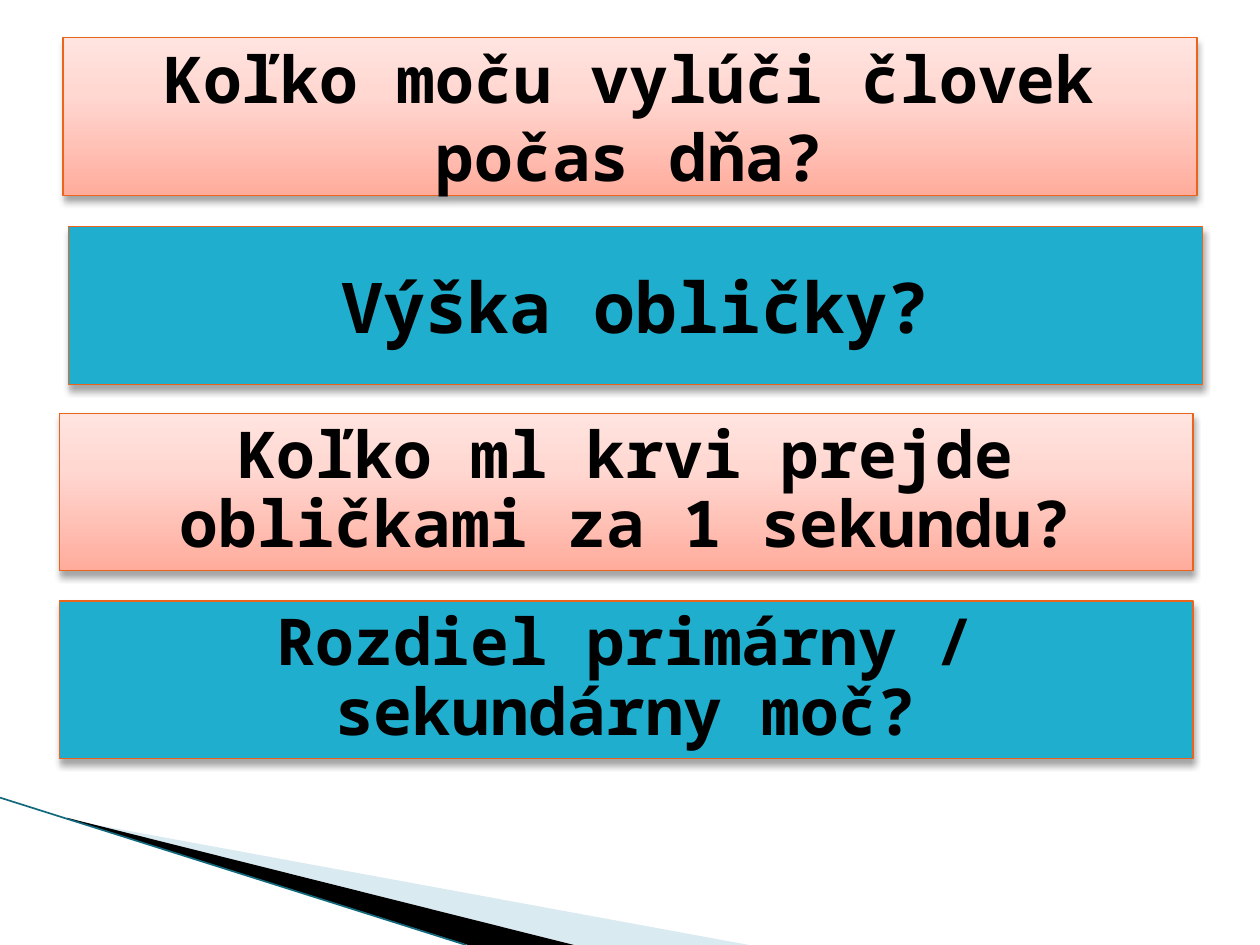
import pptx
import pptx.util
import pptx.dml.color
import pptx.enum.shapes
import pptx.enum.text
import pptx.oxml
import pptx.oxml.ns
import lxml.etree

Pt = pptx.util.Pt
qn = pptx.oxml.ns.qn

HUES = {
    "text": "000000", "edge": "EB641B", "blue": "1FAECD",
    "pale": "D9EAF1", "dark": "000000", "line": "12687C",
}
BLUSH = [(0, "FFAC9C"), (65, "FFD8D2"), (100, "FFE4DF")]
WIDE, HIGH = 648, 90
FONT = "Noto Sans Mono"

CARDS = [
    ("Koľko moču vylúči človek počas dňa?", 36, 21.6, 36.9, 1, False),
    ("Výška obličky?", 39.24, 129.6, 40, 1, True),
    ("Koľko ml krvi prejde obličkami za 1 sekundu?", 33.84, 236.16, 36.9, 0.9, False),
    ("Rozdiel primárny / sekundárny moč?", 33.84, 343.44, 36.9, 0.9, True),
]
RAYS = [
    ("pale", [(39.6, 468.6), (428, 540), (328, 540), (39.6, 468)]),
    ("dark", [(38.2, 467.3), (328, 540), (267.5, 540), (38.9, 468)]),
]
EDGE = (0, 455.8, 266.4, 540)


def hue(name):
    return pptx.dml.color.RGBColor.from_string(HUES[name])


def add_ray(slide, name, dots):
    pen = slide.shapes.build_freeform(Pt(dots[0][0]), Pt(dots[0][1]), scale=1.0)
    pen.add_line_segments([(Pt(x), Pt(y)) for x, y in dots[1:]], close=True)
    ray = pen.convert_to_shape()
    ray.shadow.inherit = False
    ray.fill.solid()
    ray.fill.fore_color.rgb = hue(name)
    ray.line.fill.background()


def add_edge(slide):
    kind = pptx.enum.shapes.MSO_CONNECTOR.STRAIGHT
    edge = slide.shapes.add_connector(kind, *[Pt(n) for n in EDGE])
    edge.line.color.rgb = hue("line")
    edge.line.width = Pt(0.95)
    lxml.etree.SubElement(edge.element.spPr, qn("a:effectLst"))


def add_stop(node, tag, code, **args):
    stop = lxml.etree.SubElement(node, qn(tag), **args)
    return lxml.etree.SubElement(stop, qn("a:srgbClr"), val=code)


def paint(card, blue):
    if blue:
        card.fill.solid()
        card.fill.fore_color.rgb = hue("blue")
        return
    card.fill.gradient()
    card.fill.gradient_angle = 90
    stops = card.element.spPr.find(".//" + qn("a:gsLst"))
    for stop in list(stops):
        stops.remove(stop)
    for part, code in BLUSH:
        add_stop(stops, "a:gs", code, pos=str(part * 1000))


def add_shade(card):
    card.shadow.inherit = False
    glow = card.element.spPr.find(qn("a:effectLst"))
    tint = add_stop(glow, "a:outerShdw", HUES["text"], blurRad=str(Pt(4)),
                    dist=str(Pt(3)), dir="5400000", rotWithShape="0")
    lxml.etree.SubElement(tint, qn("a:alpha"), val="35000")


def add_card(slide, words, left, top, size, gap, blue):
    kind = pptx.enum.shapes.MSO_SHAPE.RECTANGLE
    card = slide.shapes.add_shape(kind, Pt(left), Pt(top), Pt(WIDE), Pt(HIGH))
    paint(card, blue)
    card.line.color.rgb = hue("edge")
    card.line.width = Pt(0.75)
    add_shade(card)
    frame = card.text_frame
    frame.word_wrap = True
    frame.vertical_anchor = pptx.enum.text.MSO_ANCHOR.MIDDLE
    para = frame.paragraphs[0]
    para.alignment = pptx.enum.text.PP_ALIGN.CENTER
    para.line_spacing = float(gap)
    run = para.add_run()
    run.text = words
    run.font.name = FONT
    run.font.size = Pt(size)
    run.font.bold = True
    run.font.color.rgb = hue("text")


def main():
    deck = pptx.Presentation()
    deck.slide_width, deck.slide_height = Pt(720), Pt(540)
    slide = deck.slides.add_slide(deck.slide_layouts[6])
    for ray in RAYS:
        add_ray(slide, *ray)
    add_edge(slide)
    for card in CARDS:
        add_card(slide, *card)
    deck.save("out.pptx")


if __name__ == "__main__":
    main()
